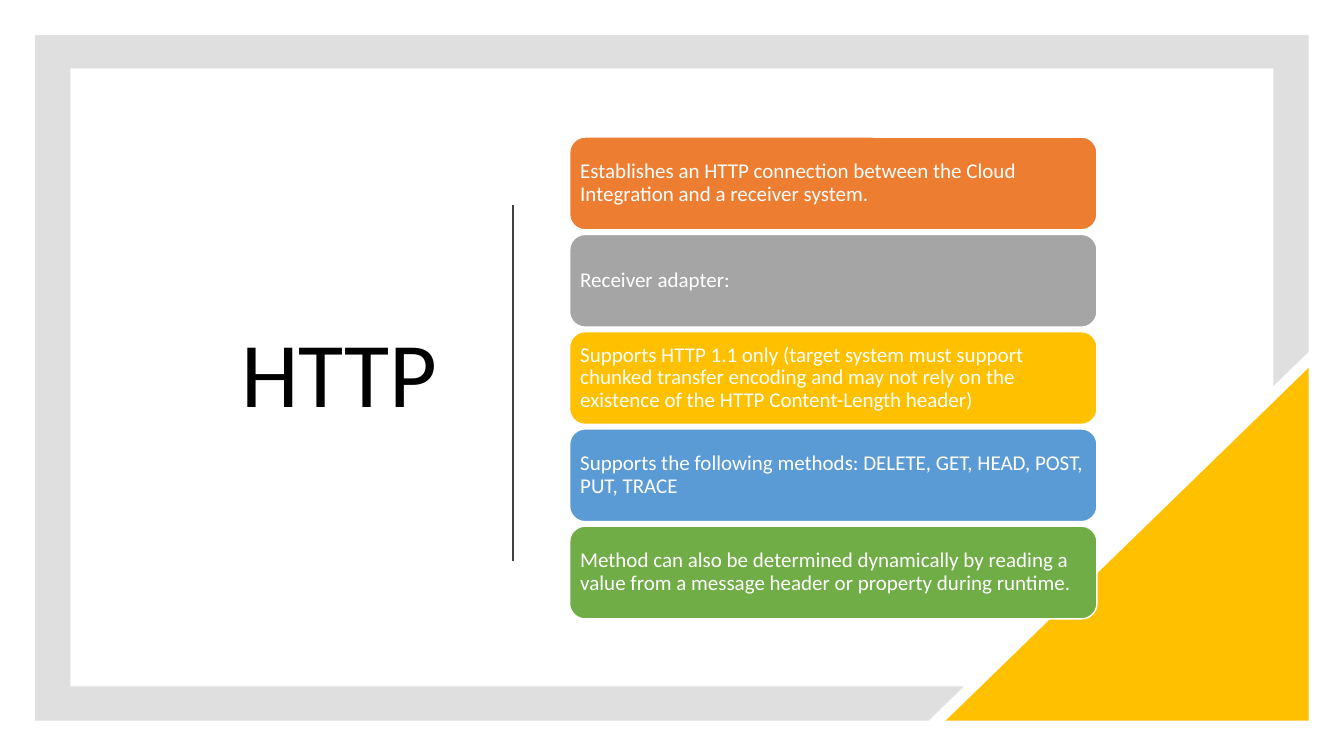
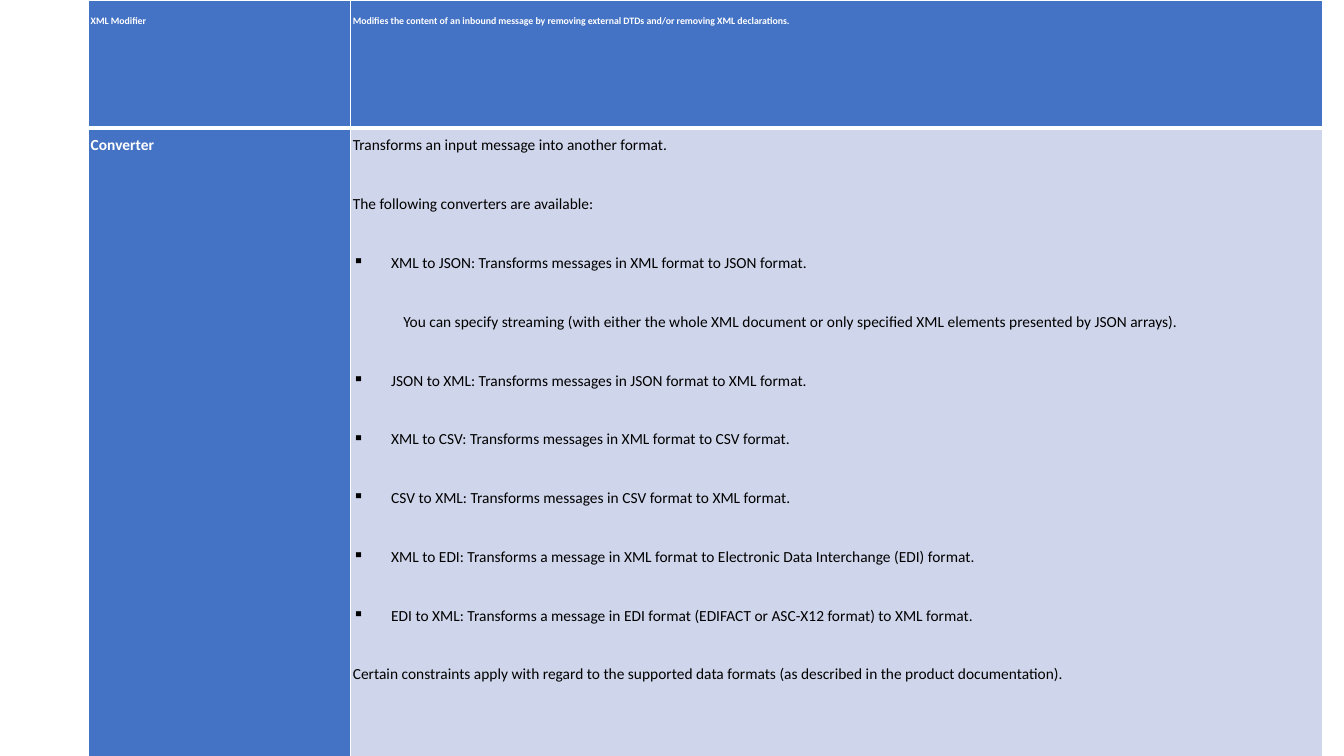
"""Build two slides on integration adapters and message converters."""
import dataclasses

import lxml.etree
import pptx
import pptx.dml.color
import pptx.enum.shapes
import pptx.enum.text
import pptx.oxml.ns
import pptx.util

Inches = pptx.util.Inches
Pt = pptx.util.Pt
qn = pptx.oxml.ns.qn
Shapes = pptx.enum.shapes.MSO_SHAPE
Anchor = pptx.enum.text.MSO_ANCHOR
Align = pptx.enum.text.PP_ALIGN


@dataclasses.dataclass(frozen=True)
class Theme:
    font: str = "Calibri"
    black: str = "000000"
    white: str = "FFFFFF"
    frame: str = "808080"
    rule: str = "404040"
    gold: str = "FFC000"
    blue: str = "4472C4"
    pale_blue: str = "CFD5EA"
    cards: tuple = ("ED7D31", "A5A5A5", "FFC000", "5B9BD5", "70AD47")
    title_size: int = 66
    card_size: int = 15
    body_size: int = 11
    small_size: int = 7


class Deck:
    def __init__(self, theme):
        self.theme = theme
        self.file = pptx.Presentation()
        self.file.slide_width = Inches(13.33)
        self.file.slide_height = Inches(7.5)
        self.slide = None

    def new_slide(self):
        self.slide = self.file.slides.add_slide(self.file.slide_layouts[6])

    def color(self, value):
        return pptx.dml.color.RGBColor.from_string(value)

    def paint(self, shape, fill, outline=None):
        shape.shadow.inherit = False
        shape.fill.solid()
        shape.fill.fore_color.rgb = self.color(fill)
        if outline:
            shape.line.color.rgb = self.color(outline)
            shape.line.width = Pt(1)
        else:
            shape.line.fill.background()

    def style(self, paragraph, size, color, bold=False, align=Align.LEFT):
        paragraph.alignment = align
        paragraph.font.name = self.theme.font
        paragraph.font.size = Pt(size)
        paragraph.font.bold = bold
        paragraph.font.color.rgb = self.color(color)

    def set_text(self, frame, text, size, color, inset, align=Align.LEFT):
        frame.word_wrap = True
        frame.vertical_anchor = Anchor.MIDDLE
        frame.margin_left = frame.margin_right = Inches(inset)
        frame.margin_top = frame.margin_bottom = Inches(inset)
        paragraph = frame.paragraphs[0]
        paragraph.text = text
        paragraph.line_spacing = 0.9
        self.style(paragraph, size, color, align=align)

    def outline(self, points, fill, opacity):
        corners = [(Inches(x), Inches(y)) for x, y in points]
        builder = self.slide.shapes.build_freeform(*corners[0])
        builder.add_line_segments(corners[1:], close=True)
        shape = builder.convert_to_shape()
        self.paint(shape, fill)
        tint = shape._element.spPr.find(qn("a:solidFill"))[0]
        lxml.etree.SubElement(tint, qn("a:alpha"), val=str(opacity * 1000))

    def corner_triangle(self, left, top, width, height, fill):
        shape = self.slide.shapes.add_shape(
            Shapes.RIGHT_TRIANGLE, *map(Inches, (left, top, width, height)))
        shape._element.spPr.find(qn("a:xfrm")).set("flipH", "1")
        self.paint(shape, fill)

    def title(self, text, left, top, width, height):
        box = self.slide.shapes.add_textbox(*map(Inches, (left, top, width, height)))
        self.set_text(box.text_frame, text, self.theme.title_size,
                      self.theme.black, 0.1, Align.RIGHT)

    def vertical_rule(self, x, top, bottom):
        rule = self.slide.shapes.add_connector(
            pptx.enum.shapes.MSO_CONNECTOR.STRAIGHT,
            *map(Inches, (x, top, x, bottom)))
        rule.line.color.rgb = self.color(self.theme.rule)
        rule.line.width = Pt(1.5)
        lxml.etree.SubElement(rule._element.spPr, qn("a:effectLst"))

    def card(self, text, left, top, width, height, fill):
        shape = self.slide.shapes.add_shape(
            Shapes.ROUNDED_RECTANGLE, *map(Inches, (left, top, width, height)))
        self.paint(shape, fill, self.theme.white)
        self.set_text(shape.text_frame, text, self.theme.card_size,
                      self.theme.white, 0.06)

    def table(self, left, top, widths, heights):
        table = self.slide.shapes.add_table(
            len(heights), len(widths),
            *map(Inches, (left, top, sum(widths), sum(heights)))).table
        for column, width in zip(table.columns, widths):
            column.width = Inches(width)
        for row, height in zip(table.rows, heights):
            row.height = Inches(height)
        return table

    def cell(self, cell, items, fill, size, color, bold=False, bottom=1):
        cell.margin_left = cell.margin_right = Inches(0.02)
        cell.margin_top = cell.margin_bottom = Inches(0.02)
        properties = cell._tc.get_or_add_tcPr()
        for side, points in (("L", 1), ("R", 1), ("T", 1), ("B", bottom)):
            border = lxml.etree.SubElement(
                properties, qn(f"a:ln{side}"), w=str(Pt(points)))
            solid = lxml.etree.SubElement(border, qn("a:solidFill"))
            lxml.etree.SubElement(solid, qn("a:srgbClr"), val=self.theme.white)
        cell.fill.solid()
        cell.fill.fore_color.rgb = self.color(fill)
        for index, (kind, text) in enumerate(items):
            frame = cell.text_frame
            paragraph = frame.add_paragraph() if index else frame.paragraphs[0]
            paragraph.text = text
            paragraph.line_spacing = Pt(18)
            if index:
                paragraph.space_before = Pt(12)
            paragraph.space_after = Pt(8 if index == len(items) - 1 else 12)
            self.indent(paragraph, kind)
            self.style(paragraph, size, color, bold)

    def indent(self, paragraph, kind):
        properties = paragraph._p.get_or_add_pPr()
        if kind == "bullet":
            properties.set("marL", str(Inches(0.38)))
            properties.set("indent", str(Inches(-0.38)))
            lxml.etree.SubElement(properties, qn("a:buChar"), char="▪")
        elif kind == "detail":
            properties.set("marL", str(Inches(0.5)))
            properties.set("indent", "0")


FRAME = [(0.35, 0.35), (12.98, 0.35), (12.98, 3.49), (12.63, 3.83), (12.63, 0.68),
         (0.7, 0.68), (0.7, 6.81), (9.56, 6.81), (9.21, 7.15), (0.35, 7.15)]

HTTP_FACTS = [
    "Establishes an HTTP connection between the Cloud Integration and a receiver system.",
    "Receiver adapter:",
    "Supports HTTP 1.1 only (target system must support chunked transfer encoding "
    "and may not rely on the existence of the HTTP Content-Length header)",
    "Supports the following methods: DELETE, GET, HEAD, POST, PUT, TRACE",
    "Method can also be determined dynamically by reading a value from a message "
    "header or property during runtime.",
]

MODIFIER = [("plain", "Modifies the content of an inbound message by removing "
             "external DTDs and/or removing XML declarations.")]

CONVERTERS = [
    ("plain", "Transforms an input message into another format."),
    ("plain", "The following converters are available:"),
    ("bullet", "XML to JSON: Transforms messages in XML format to JSON format."),
    ("detail", "You can specify streaming (with either the whole XML document or "
     "only specified XML elements presented by JSON arrays)."),
    ("bullet", "JSON to XML: Transforms messages in JSON format to XML format."),
    ("bullet", "XML to CSV: Transforms messages in XML format to CSV format."),
    ("bullet", "CSV to XML: Transforms messages in CSV format to XML format."),
    ("bullet", "XML to EDI: Transforms a message in XML format to Electronic Data "
     "Interchange (EDI) format."),
    ("bullet", "EDI to XML: Transforms a message in EDI format (EDIFACT or ASC-X12 "
     "format) to XML format."),
    ("plain", "Certain constraints apply with regard to the supported data formats "
     "(as described in the product documentation)."),
]


def http_slide(deck):
    theme = deck.theme
    deck.new_slide()
    deck.outline(FRAME, theme.frame, 25)
    deck.corner_triangle(9.38, 3.65, 3.6, 3.5, theme.gold)
    deck.title("HTTP", 1.1, 1.3, 3.34, 4.9)
    deck.vertical_rule(5.09, 2.03, 5.57)
    first, last, height = 1.36, 5.22, 0.92
    pitch = (last - first) / (len(HTTP_FACTS) - 1)
    for index, (fact, fill) in enumerate(zip(HTTP_FACTS, theme.cards)):
        deck.card(fact, 5.65, first + index * pitch, 5.23, height, fill)


def converter_slide(deck):
    theme = deck.theme
    deck.new_slide()
    steps = deck.table(0.88, 0, (2.6, 9.64), (1.27, 7.32))
    for column, items in enumerate(([("plain", "XML Modifier")], MODIFIER)):
        deck.cell(steps.cell(0, column), items, theme.blue, theme.small_size,
                  theme.white, bold=True, bottom=3)
    deck.cell(steps.cell(1, 0), [("plain", "Converter")], theme.blue,
              theme.body_size, theme.white, bold=True)
    deck.cell(steps.cell(1, 1), CONVERTERS, theme.pale_blue,
              theme.body_size, theme.black)


def main():
    deck = Deck(Theme())
    http_slide(deck)
    converter_slide(deck)
    deck.file.save("out.pptx")


if __name__ == "__main__":
    main()
